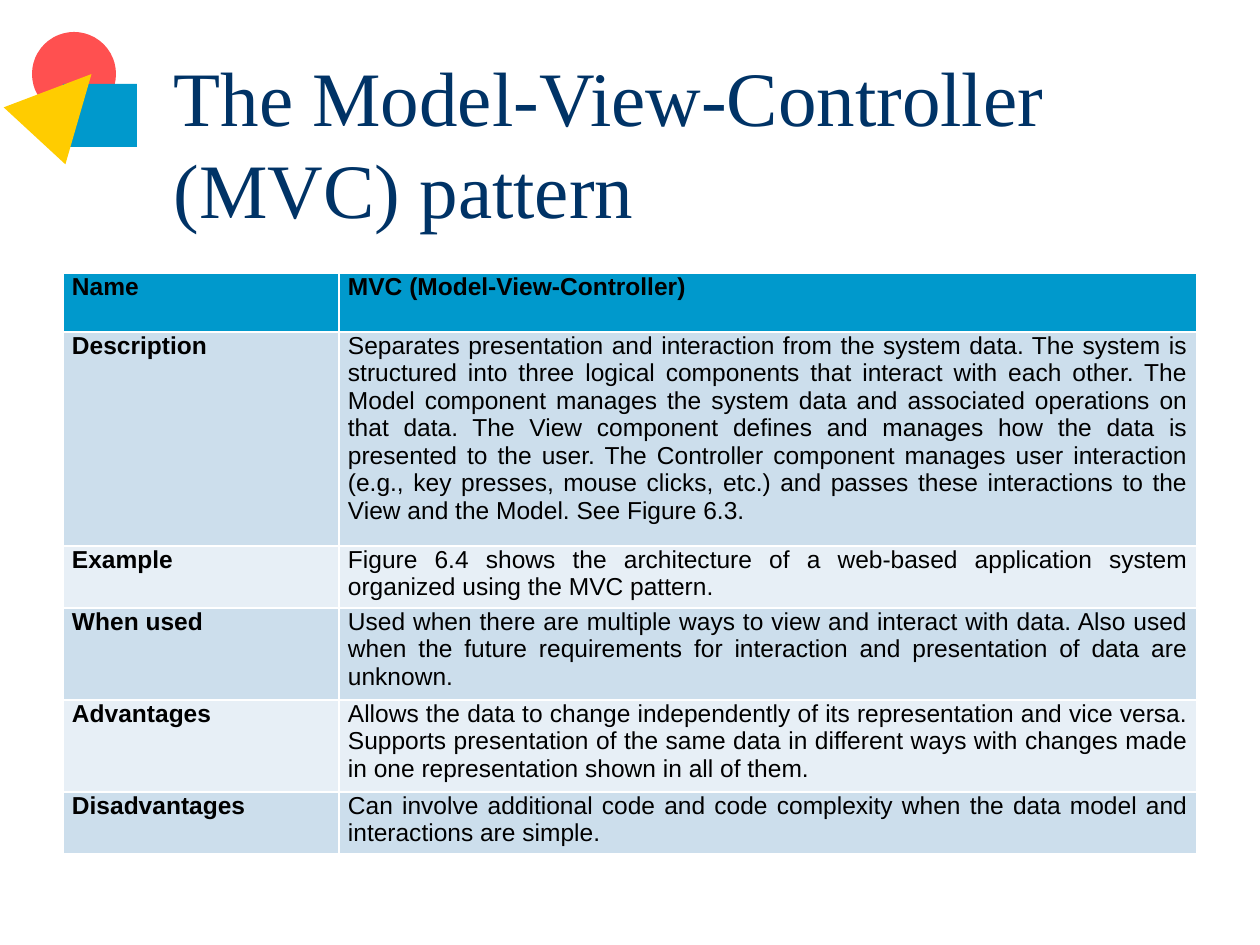
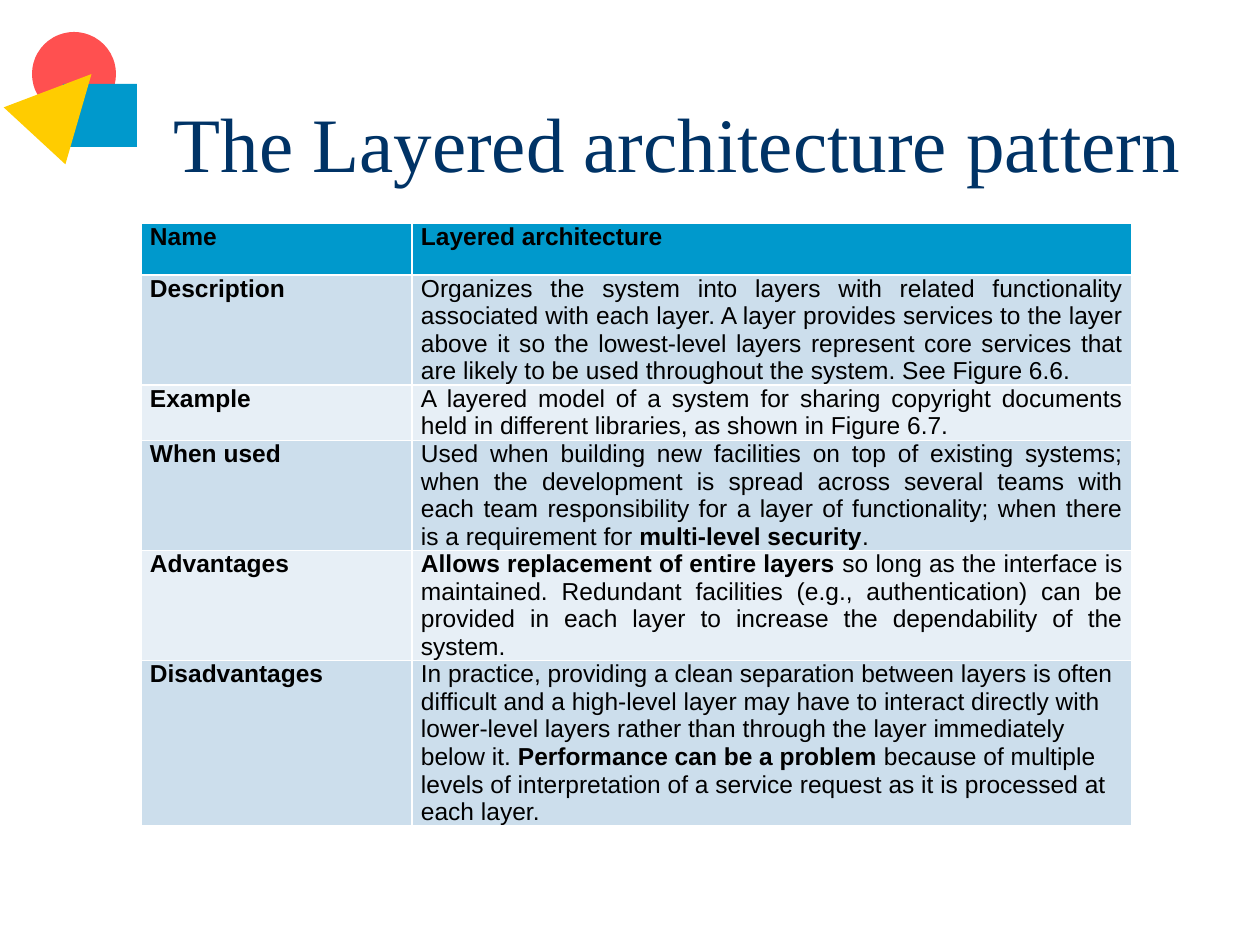
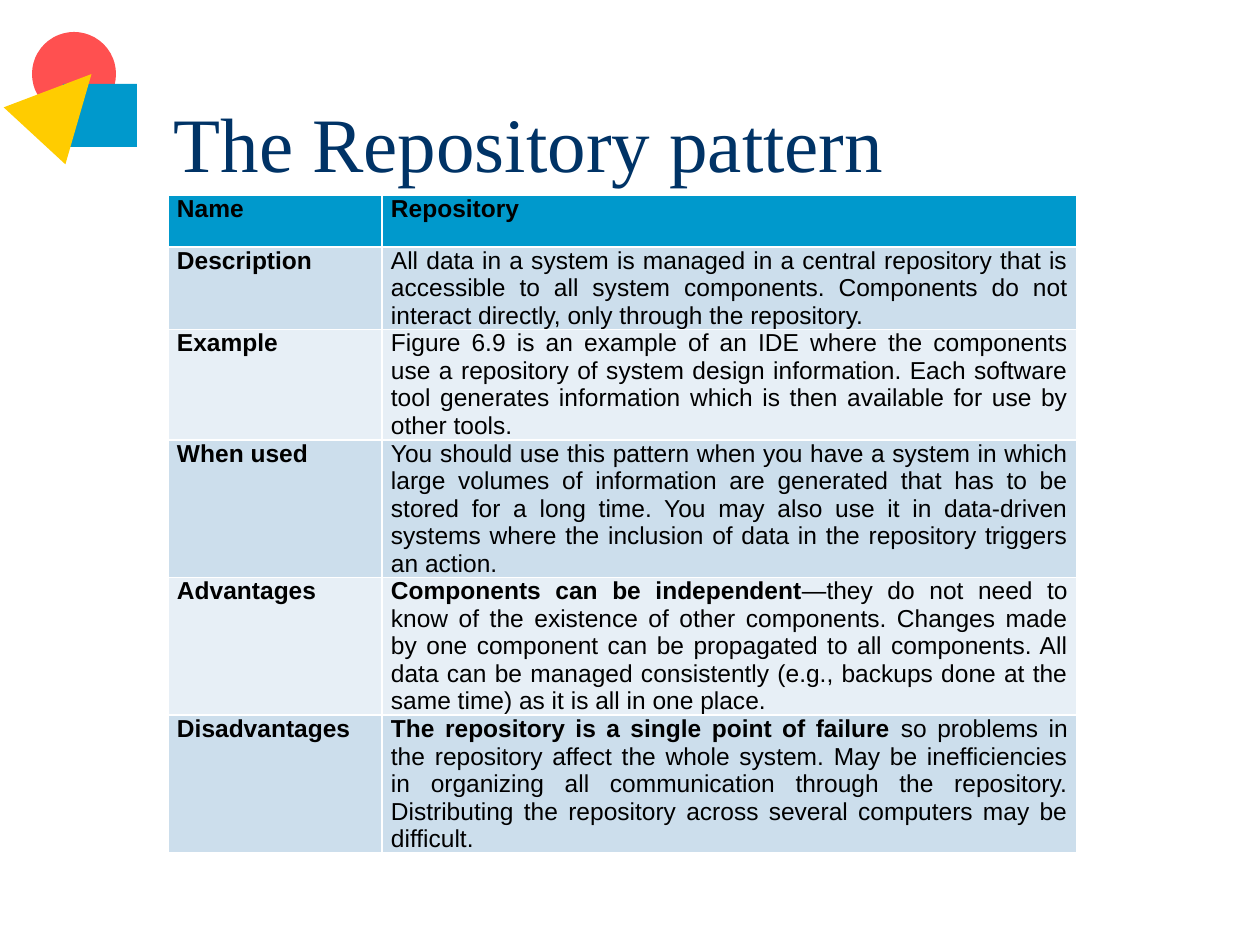
from pptx import Presentation
from pptx.dml.color import RGBColor
from pptx.enum.shapes import MSO_SHAPE
from pptx.enum.text import MSO_ANCHOR, MSO_AUTO_SIZE, PP_ALIGN
from pptx.util import Emu, Pt

PX_PER_INCH = 126
SLIDE_SIZE = (1260, 945)
TITLE_BOX = (161, 63, 1071, 158)
EMBLEM_BOX = (21, 32, 116, 116)
MIN_ROW_HEIGHT = 52
CELL_MARGIN = 9

TITLE_FONT, BODY_FONT = "Times New Roman", "Arial"
NAVY, BLACK = "003366", "000000"
RED, BLUE, YELLOW = "FF5050", "0099CC", "FFCC00"
BAND_COLORS = ("CCDEEC", "E7EFF6")

FIELDS = ("Name", "Description", "Example", "When used", "Advantages", "Disadvantages")

PATTERNS = [
    {
        "title": "The Model-View-Controller (MVC) pattern",
        "box": (63, 273, 1134, 580),
        "label_width": 276,
        "row_heights": (59, 214, 62, 92, 92, 62),
        "values": (
            "MVC (Model-View-Controller)",
            "Separates presentation and interaction from the system data. The system is "
            "structured into three logical components that interact with each other. The "
            "Model component manages the system data and associated operations on that data. "
            "The View component defines and manages how the data is presented to the user. "
            "The Controller component manages user interaction (e.g., key presses, mouse "
            "clicks, etc.) and passes these interactions to the View and the Model. "
            "See Figure 6.3.",
            "Figure 6.4 shows the architecture of a web-based application system organized "
            "using the MVC pattern.",
            "Used when there are multiple ways to view and interact with data. Also used when "
            "the future requirements for interaction and presentation of data are unknown.",
            "Allows the data to change independently of its representation and vice versa. "
            "Supports presentation of the same data in different ways with changes made in "
            "one representation shown in all of them.",
            "Can involve additional code and code complexity when the data model and "
            "interactions are simple.",
        ),
    },
    {
        "title": "The Layered architecture pattern",
        "box": (141, 223, 991, 639),
        "label_width": 271,
        "last_align": PP_ALIGN.LEFT,
        "values": (
            "Layered architecture",
            "Organizes the system into layers with related functionality associated with each "
            "layer. A layer provides services to the layer above it so the lowest-level layers "
            "represent core services that are likely to be used throughout the system. "
            "See Figure 6.6.",
            "A layered model of a system for sharing copyright documents held in different "
            "libraries, as shown in Figure 6.7.",
            "Used when building new facilities on top of existing systems; when the "
            "development is spread across several teams with each team responsibility for a "
            "layer of functionality; when there is a requirement for **multi-level security**.",
            "**Allows replacement of entire layers** so long as the interface is maintained. "
            "Redundant facilities (e.g., authentication) can be provided in each layer to "
            "increase the dependability of the system.",
            "In practice, providing a clean separation between layers is often difficult and a "
            "high-level layer may have to interact directly with lower-level layers rather "
            "than through the layer immediately below it. **Performance can be a problem** "
            "because of multiple levels of interpretation of a service request as it is "
            "processed at each layer.",
        ),
    },
    {
        "title": "The Repository pattern",
        "box": (168, 195, 909, 698),
        "label_width": 214,
        "values": (
            "Repository",
            "All data in a system is managed in a central repository that is accessible to all "
            "system components. Components do not interact directly, only through the "
            "repository.",
            "Figure 6.9 is an example of an IDE where the components use a repository of system "
            "design information. Each software tool generates information which is then "
            "available for use by other tools.",
            "You should use this pattern when you have a system in which large volumes of "
            "information are generated that has to be stored for a long time. You may also use "
            "it in data-driven systems where the inclusion of data in the repository triggers "
            "an action.",
            "**Components can be independent**—they do not need to know of the existence of "
            "other components. Changes made by one component can be propagated to all "
            "components. All data can be managed consistently (e.g., backups done at the same "
            "time) as it is all in one place.",
            "**The repository is a single point of failure** so problems in the repository "
            "affect the whole system. May be inefficiencies in organizing all communication "
            "through the repository. Distributing the repository across several computers may "
            "be difficult.",
        ),
    },
]


def px(length):
    """Convert pixels to EMU."""
    return Emu(round(length * 914400 / PX_PER_INCH))


def rgb(color):
    """Convert a hex string to a colour."""
    return RGBColor.from_string(color)


def write_text(text_frame, text, *, font=BODY_FONT, size=14, color=BLACK,
               bold=False, align=PP_ALIGN.JUSTIFY):
    """Write one paragraph, with the parts between double asterisks in bold."""
    paragraph = text_frame.paragraphs[0]
    paragraph.alignment = align
    for index, part in enumerate(text.split("**")):
        if part:
            run = paragraph.add_run()
            run.text = part
            run.font.name = font
            run.font.size = Pt(size)
            run.font.color.rgb = rgb(color)
            run.font.bold = bold or index % 2 == 1


def add_emblem(slide, box):
    """Draw the circle, square and triangle and move them to the slide's layout."""
    left, top, _, _ = box
    parts = (
        (MSO_SHAPE.OVAL, (11, 0, 84, 84), 0, RED),
        (MSO_SHAPE.RECTANGLE, (42, 52, 74, 63), 0, BLUE),
        (MSO_SHAPE.ISOSCELES_TRIANGLE, (0, 31, 84, 84), 42.7, YELLOW),
    )
    for index, (kind, (x, y, width, height), rotation, color) in enumerate(parts):
        shape = slide.shapes.add_shape(kind, px(left + x), px(top + y), px(width), px(height))
        shape.rotation = rotation
        shape.shadow.inherit = False
        shape.fill.solid()
        shape.fill.fore_color.rgb = rgb(color)
        shape.line.fill.background()
        shape.element.nvSpPr.cNvPr.id = 101 + index
        slide.slide_layout.shapes.element.insert(2 + index, shape.element)


def add_title(slide, box, text):
    """Place and fill the title placeholder."""
    title = slide.shapes.title
    title.left, title.top, title.width, title.height = map(px, box)
    title.text_frame.auto_size = MSO_AUTO_SIZE.NONE
    title.text_frame.vertical_anchor = MSO_ANCHOR.MIDDLE
    write_text(title.text_frame, text, font=TITLE_FONT, size=44, color=NAVY,
               align=PP_ALIGN.LEFT)


def add_pattern_table(slide, box, values, label_width, row_heights=None,
                      last_align=PP_ALIGN.JUSTIFY):
    """Add the table that pairs each field with its value."""
    width, height = box[2:]
    frame = slide.shapes.add_table(len(FIELDS), 2, *map(px, box))
    table = frame.table
    table.columns[0].width = px(label_width)
    table.columns[1].width = px(width - label_width)
    row_heights = row_heights or [MIN_ROW_HEIGHT] * len(FIELDS)
    for index, texts in enumerate(zip(FIELDS, values)):
        table.rows[index].height = px(row_heights[index])
        is_header = index == 0
        is_last = index == len(FIELDS) - 1
        for column, text in enumerate(texts):
            cell = table.cell(index, column)
            cell.margin_left = cell.margin_right = px(CELL_MARGIN)
            cell.margin_top = cell.margin_bottom = 0
            cell.fill.solid()
            cell.fill.fore_color.rgb = rgb(BLUE if is_header else BAND_COLORS[(index - 1) % 2])
            write_text(cell.text_frame, text, bold=is_header or column == 0,
                       align=last_align if is_last and column == 1 else PP_ALIGN.JUSTIFY)
    frame.height = px(height)


def add_pattern_slide(presentation, title, **table_options):
    """Add a slide with a title and a pattern table."""
    slide = presentation.slides.add_slide(presentation.slide_layouts[5])
    add_title(slide, TITLE_BOX, title)
    add_pattern_table(slide, **table_options)


def main():
    """Build the presentation."""
    presentation = Presentation()
    presentation.slide_width, presentation.slide_height = map(px, SLIDE_SIZE)
    for pattern in PATTERNS:
        add_pattern_slide(presentation, **pattern)
    add_emblem(presentation.slides[0], EMBLEM_BOX)
    presentation.save("out.pptx")


if __name__ == "__main__":
    main()
